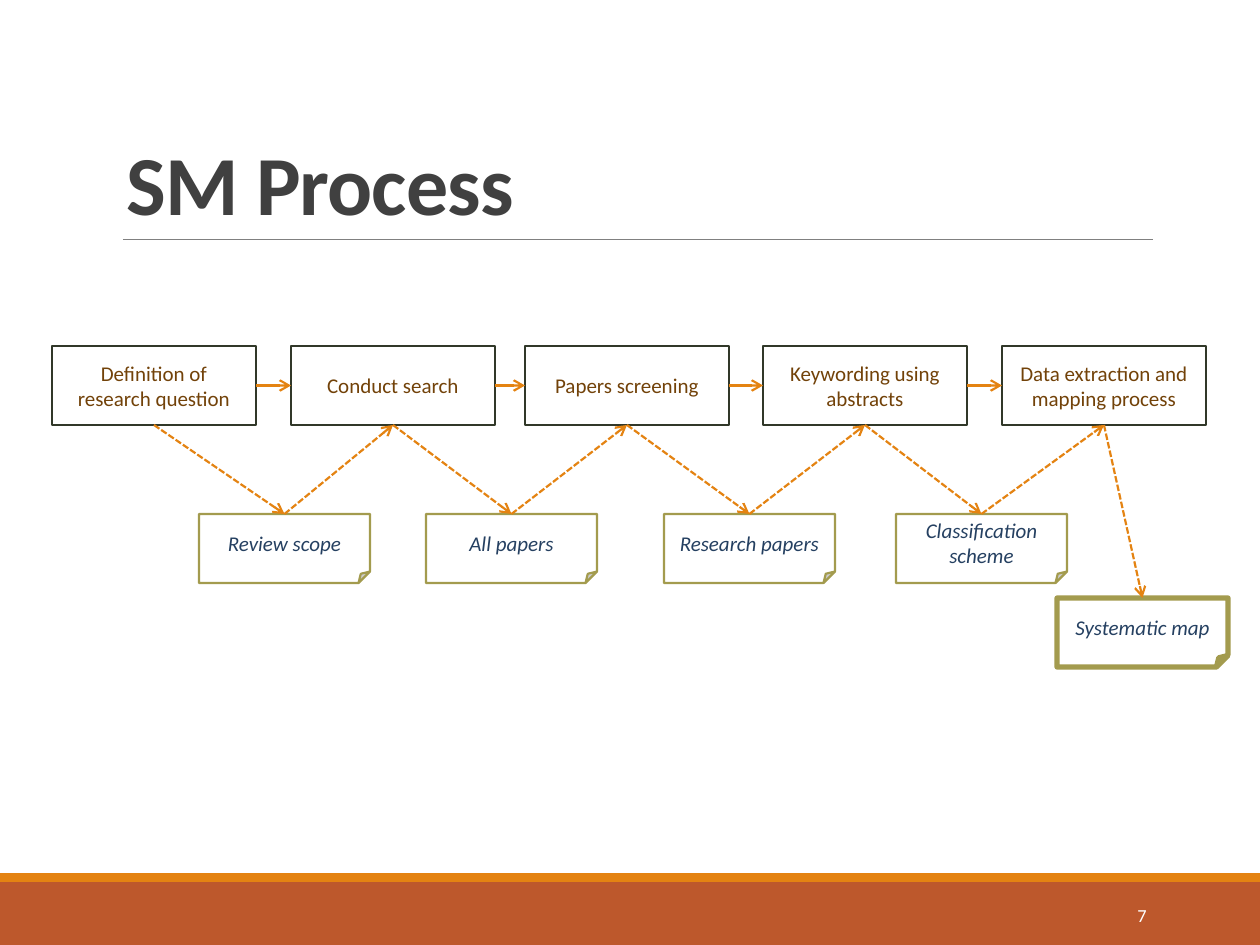
from dataclasses import dataclass
from itertools import pairwise

from lxml import etree
from pptx import Presentation
from pptx.dml.color import RGBColor
from pptx.enum.dml import MSO_LINE
from pptx.enum.shapes import MSO_CONNECTOR, MSO_SHAPE
from pptx.enum.text import MSO_ANCHOR, MSO_AUTO_SIZE, PP_ALIGN
from pptx.oxml.ns import qn
from pptx.util import Pt

RECTANGLE, FOLDED = MSO_SHAPE.RECTANGLE, MSO_SHAPE.FOLDED_CORNER
STRAIGHT, DASH = MSO_CONNECTOR.STRAIGHT, MSO_LINE.SQUARE_DOT
MIDDLE, BOTTOM = MSO_ANCHOR.MIDDLE, MSO_ANCHOR.BOTTOM
LEFT, CENTER, RIGHT = PP_ALIGN.LEFT, PP_ALIGN.CENTER, PP_ALIGN.RIGHT
TITLE_ONLY = 5
SITE_TOP, SITE_LEFT, SITE_BOTTOM, SITE_RIGHT = range(4)
PX_PER_INCH = 126


@dataclass(frozen=True)
class Theme:
    font: str = "Calibri"
    title: str = "404040"
    rule: str = "808080"
    accent: str = "E48312"
    footer: str = "BD582C"
    white: str = "FFFFFF"
    step_line: str = "313829"
    step_text: str = "724209"
    note_line: str = "A39B4E"
    note_text: str = "254061"
    title_size: float = 48
    label_size: float = 12
    number_size: float = 10.5
    thin: float = 0.5
    normal: float = 1.25
    heavy: float = 3


@dataclass(frozen=True)
class Frame:
    left: int
    top: int
    width: int
    height: int


@dataclass(frozen=True)
class Step:
    text: str
    left: int


@dataclass(frozen=True)
class Note:
    text: str
    left: int
    top: int = 514
    line_width: float = 1.25


THEME = Theme()
STEPS = [
    Step("Definition of research question", 52),
    Step("Conduct search", 291),
    Step("Papers screening", 525),
    Step("Keywording using abstracts", 763),
    Step("Data extraction and mapping process", 1002),
]
NOTES = [
    Note("Review scope", 199),
    Note("All papers", 426),
    Note("Research papers", 664),
    Note("Classification scheme", 896),
    Note("Systematic map", 1057, 598, THEME.heavy),
]


def px(length: int) -> int:
    return round(length * 914400 / PX_PER_INCH)


def color(value: str) -> RGBColor:
    return RGBColor.from_string(value)


def place(frame: Frame) -> tuple[int, ...]:
    return tuple(px(n) for n in (frame.left, frame.top, frame.width, frame.height))


def write(box, text: str, size: float, ink: str, align=CENTER, anchor=MIDDLE,
          bold: bool = False, italic: bool = False):
    """Put one formatted run into a box and return its paragraph and span."""
    text_frame = box.text_frame
    text_frame.word_wrap = True
    text_frame.auto_size = MSO_AUTO_SIZE.NONE
    text_frame.vertical_anchor = anchor
    para = text_frame.paragraphs[0]
    para.alignment = align
    span = para.add_run()
    span.text = text
    span.font.name = THEME.font
    span.font.size = Pt(size)
    span.font.bold = bold
    span.font.italic = italic
    span.font.color.rgb = color(ink)
    return para, span


def add_box(page, kind, frame: Frame, fill: str | None = None,
            line: str | None = None, line_width: float = THEME.normal):
    box = page.shapes.add_shape(kind, *place(frame))
    box.shadow.inherit = False
    if fill:
        box.fill.solid()
        box.fill.fore_color.rgb = color(fill)
    else:
        box.fill.background()
    if line:
        box.line.color.rgb = color(line)
        box.line.width = Pt(line_width)
    else:
        box.line.fill.background()
    return box


def add_line(page, ink: str, width: float, left: int = 0, right: int = 0, y: int = 0):
    line = page.shapes.add_connector(STRAIGHT, px(left), px(y), px(right), px(y))
    line.line.color.rgb = color(ink)
    line.line.width = Pt(width)
    etree.SubElement(line._element.spPr, qn("a:effectLst"))
    return line


def add_arrow(page, start, start_site: int, end, end_site: int, dashed: bool = False):
    arrow = add_line(page, THEME.accent, THEME.normal)
    arrow.begin_connect(start, start_site)
    arrow.end_connect(end, end_site)
    if dashed:
        arrow.line.dash_style = DASH
    etree.SubElement(arrow.line._get_or_add_ln(), qn("a:tailEnd"), type="arrow")


def add_step(page, step: Step):
    box = add_box(page, RECTANGLE, Frame(step.left, 346, 204, 79), line=THEME.step_line)
    write(box, step.text, THEME.label_size, THEME.step_text)
    return box


def add_note(page, note: Note):
    box = add_box(page, FOLDED, Frame(note.left, note.top, 171, 69),
                  THEME.white, THEME.note_line, note.line_width)
    write(box, note.text, THEME.label_size, THEME.note_text, italic=True)
    return box


def main() -> None:
    deck = Presentation()
    deck.slide_width, deck.slide_height = px(1260), px(945)
    page = deck.slides.add_slide(deck.slide_layouts[TITLE_ONLY])

    # Footer bands and title rule
    add_box(page, RECTANGLE, Frame(0, 882, 1260, 63), THEME.footer)
    add_box(page, RECTANGLE, Frame(0, 873, 1260, 9), THEME.accent)
    add_line(page, THEME.rule, THEME.thin, 123, 1153, 239)

    # Title
    title = page.shapes.title
    title.left, title.top, title.width, title.height = place(Frame(114, 39, 1039, 200))
    para, span = write(title, "SM Process", THEME.title_size, THEME.title,
                       LEFT, BOTTOM, bold=True)
    para.line_spacing = 0.85
    span.font._element.set("spc", "-50")

    # Page number
    number = page.shapes.add_textbox(*place(Frame(1023, 890, 136, 50)))
    write(number, "7", THEME.number_size, THEME.white, RIGHT)

    # Process steps and the documents they produce
    steps = [add_step(page, step) for step in STEPS]
    notes = [add_note(page, note) for note in NOTES]

    # Step to step, then step to document and on to the next step
    for start, end in pairwise(steps):
        add_arrow(page, start, SITE_RIGHT, end, SITE_LEFT)
    for step, note in zip(steps, notes):
        add_arrow(page, step, SITE_BOTTOM, note, SITE_TOP, dashed=True)
    for note, step in zip(notes, steps[1:]):
        add_arrow(page, note, SITE_TOP, step, SITE_BOTTOM, dashed=True)

    deck.save("out.pptx")


if __name__ == "__main__":
    main()
